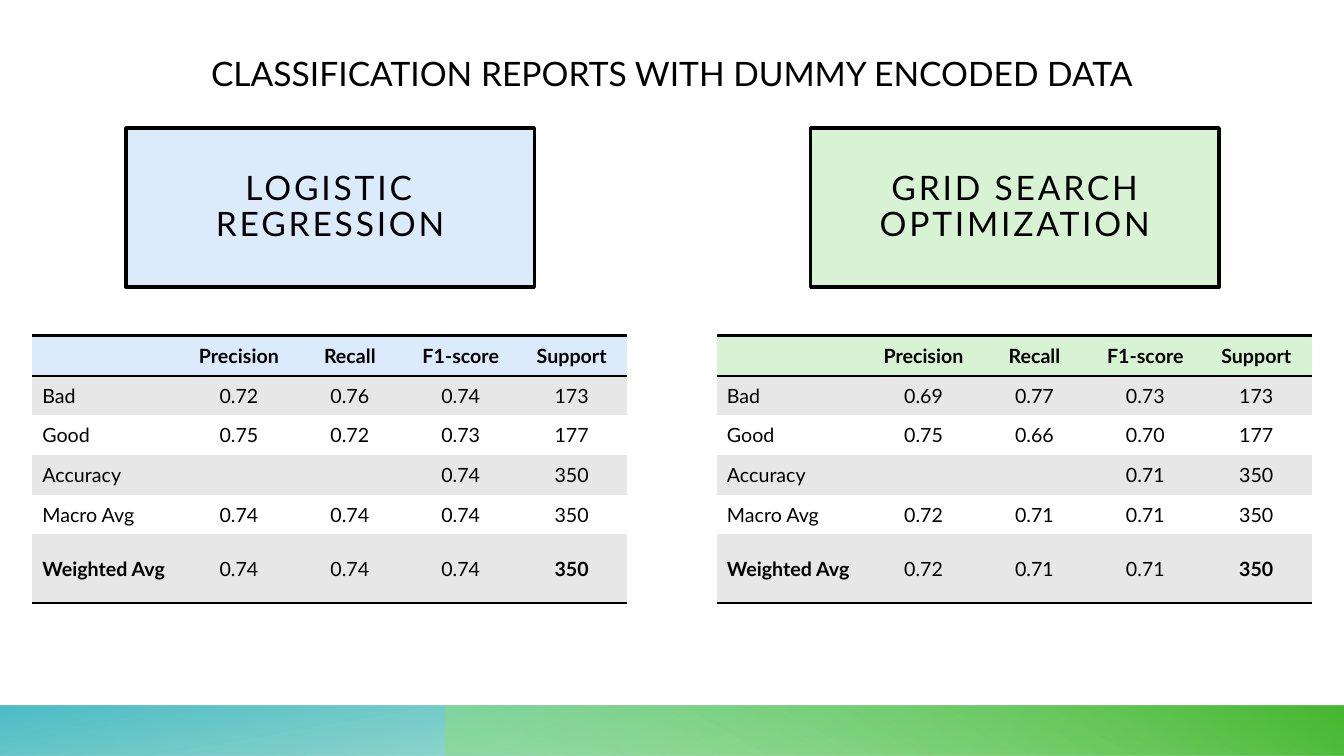
from dataclasses import dataclass

from lxml import etree
from pptx import Presentation
from pptx.dml.color import RGBColor
from pptx.enum.shapes import MSO_SHAPE
from pptx.enum.text import MSO_ANCHOR, MSO_AUTO_SIZE, PP_ALIGN
from pptx.oxml.ns import qn
from pptx.util import Inches, Pt

FONT = "Lato"
BLACK = "000000"
WHITE = "FFFFFF"
GREY = "E7E7E7"
NO_STYLE = "{2D5ABB26-0587-4C30-8999-92F81FD0307C}"
HEADERS = ("", "Precision", "Recall", "F1-score", "Support")
COLUMN_WIDTHS = (1.5, 1.1, 1.1, 1.1, 1.1)
ROW_HEIGHTS = (0.39, 0.39, 0.39, 0.39, 0.39, 0.68)


@dataclass
class Report:
    left: float
    lines: tuple[str, ...]
    color: str
    rows: tuple[tuple[str, ...], ...]


@dataclass
class GradientStop:
    position: int
    color: str
    opacity: int = 100


@dataclass
class FooterBand:
    left: float
    width: float
    rotation: int
    angle: int
    stops: tuple[GradientStop, ...]


REPORTS = (
    Report(0.32, ("LOGISTIC REGRESSION",), "DCEBFB", (
        ("Bad", "0.72", "0.76", "0.74", "173"),
        ("Good", "0.75", "0.72", "0.73", "177"),
        ("Accuracy", "", "", "0.74", "350"),
        ("Macro Avg", "0.74", "0.74", "0.74", "350"),
        ("Weighted Avg", "0.74", "0.74", "0.74", "350"),
    )),
    Report(7.11, ("GRID SEARCH", "OPTIMIZATION"), "D8F3D3", (
        ("Bad", "0.69", "0.77", "0.73", "173"),
        ("Good", "0.75", "0.66", "0.70", "177"),
        ("Accuracy", "", "", "0.71", "350"),
        ("Macro Avg", "0.72", "0.71", "0.71", "350"),
        ("Weighted Avg", "0.72", "0.71", "0.71", "350"),
    )),
)

FOOTER_BANDS = (
    FooterBand(0, 13.33, 180, 100,
               (GradientStop(14, "34B48B", 28), GradientStop(100, "2EB1BF", 85))),
    FooterBand(4.42, 8.92, 0, 240,
               (GradientStop(9, "8BDC7C", 55), GradientStop(99, "46B831"))),
)


def paint(target, color: str) -> None:
    target.solid()
    target.fore_color.rgb = RGBColor.from_string(color)


def element(parent, tag: str, **attributes):
    values = {name: str(value) for name, value in attributes.items()}
    return etree.SubElement(parent, qn(tag), values)


def write(paragraph, text: str, size: int, bold: bool = False,
          align=PP_ALIGN.CENTER, spacing: int = 0) -> None:
    paragraph.alignment = align
    run = paragraph.add_run()
    run.text = text
    run.font.name = FONT
    run.font.size = Pt(size)
    run.font.bold = bold
    paint(run.font.fill, BLACK)
    if spacing:
        run.font._element.set("spc", str(spacing * 100))


def add_rectangle(slide, left: float, top: float, width: float, height: float):
    shape = slide.shapes.add_shape(MSO_SHAPE.RECTANGLE, Inches(left), Inches(top),
                                   Inches(width), Inches(height))
    shape.shadow.inherit = False
    return shape


def add_footer_band(slide, band: FooterBand) -> None:
    shape = add_rectangle(slide, band.left, 7, band.width, 0.5)
    shape.line.fill.background()
    shape.rotation = band.rotation
    properties = shape._element.spPr
    properties.find(qn("a:xfrm")).set("flipH", "1")
    gradient = etree.Element(qn("a:gradFill"), {"rotWithShape": "1"})
    stops = element(gradient, "a:gsLst")
    for stop in band.stops:
        entry = element(stops, "a:gs", pos=stop.position * 1000)
        color = element(entry, "a:srgbClr", val=stop.color)
        element(color, "a:alpha", val=stop.opacity * 1000)
    element(gradient, "a:lin", ang=band.angle * 60000, scaled=0)
    properties.find(qn("a:prstGeom")).addnext(gradient)


def add_title(slide, text: str) -> None:
    box = slide.shapes.add_textbox(Inches(1.25), Inches(0.48), Inches(10.83), Inches(0.5))
    box.text_frame.word_wrap = True
    box.text_frame.auto_size = MSO_AUTO_SIZE.SHAPE_TO_FIT_TEXT
    write(box.text_frame.paragraphs[0], text, 24)


def add_model_box(slide, report: Report) -> None:
    shape = add_rectangle(slide, report.left + 0.93, 1.27, 4.05, 1.58)
    paint(shape.fill, report.color)
    paint(shape.line.fill, BLACK)
    shape.line.width = Pt(2.5)
    frame = shape.text_frame
    frame.word_wrap = True
    frame.vertical_anchor = MSO_ANCHOR.MIDDLE
    frame.margin_left = frame.margin_right = Inches(0.2)
    frame.margin_top = frame.margin_bottom = Inches(0.2)
    for index, line in enumerate(report.lines):
        paragraph = frame.add_paragraph() if index else frame.paragraphs[0]
        paragraph.line_spacing = 0.9
        write(paragraph, line, 24, spacing=2)


def add_border(cell, tag: str) -> None:
    border = element(cell._tc.get_or_add_tcPr(), tag, w=Pt(2))
    element(element(border, "a:solidFill"), "a:srgbClr", val=BLACK)


def add_report_table(slide, report: Report) -> None:
    rows = (HEADERS, *report.rows)
    frame = slide.shapes.add_table(
        len(rows), len(HEADERS), Inches(report.left), Inches(3.33),
        Inches(sum(COLUMN_WIDTHS)), Inches(sum(ROW_HEIGHTS)))
    table = frame.table
    table.first_row = table.horz_banding = False
    table._tbl.tblPr.find(qn("a:tableStyleId")).text = NO_STYLE
    for column, width in zip(table.columns, COLUMN_WIDTHS):
        column.width = Inches(width)
    last_row, last_column = len(rows) - 1, len(HEADERS) - 1
    for row, values in enumerate(rows):
        table.rows[row].height = Inches(ROW_HEIGHTS[row])
        for column, value in enumerate(values):
            cell = table.cell(row, column)
            cell.vertical_anchor = MSO_ANCHOR.MIDDLE
            if row == 0:
                add_border(cell, "a:lnT")
            if row in (0, last_row):
                add_border(cell, "a:lnB")
            cell.fill.solid()
            paint(cell.fill, report.color if row == 0 else GREY if row % 2 else WHITE)
            bold = row == 0 or (row == last_row and column in (0, last_column))
            align = PP_ALIGN.CENTER if column else PP_ALIGN.LEFT
            write(cell.text_frame.paragraphs[0], value, 14, bold, align)


def main() -> None:
    presentation = Presentation()
    presentation.slide_width = Inches(13.33)
    presentation.slide_height = Inches(7.5)
    slide = presentation.slides.add_slide(presentation.slide_layouts[6])
    paint(slide.background.fill, WHITE)
    for band in FOOTER_BANDS:
        add_footer_band(slide, band)
    add_title(slide, "CLASSIFICATION REPORTS WITH DUMMY ENCODED DATA")
    for report in REPORTS:
        add_model_box(slide, report)
        add_report_table(slide, report)
    presentation.save("out.pptx")


main()
